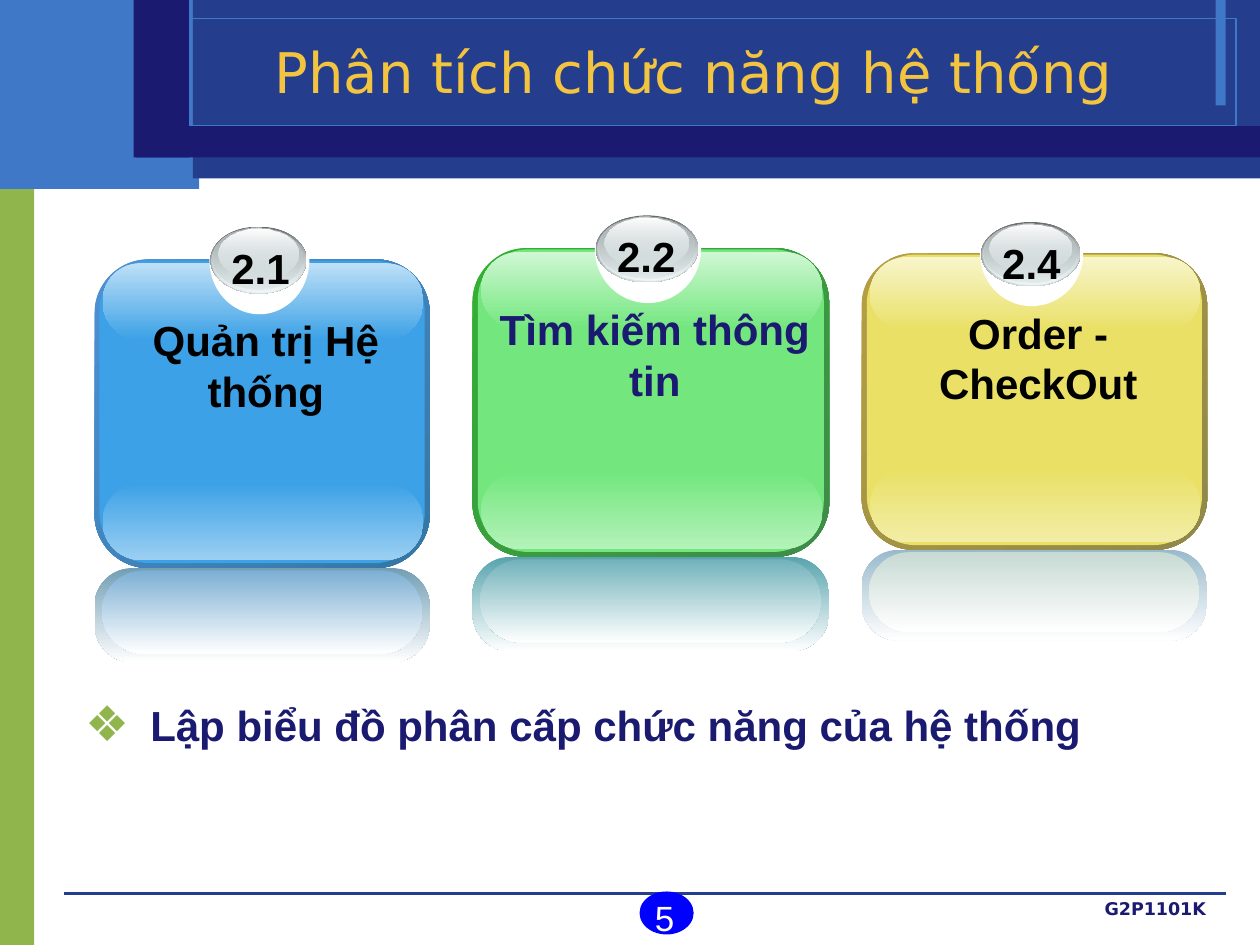
from lxml.etree import SubElement
from pptx import Presentation
from pptx.dml.color import RGBColor
from pptx.enum.shapes import MSO_CONNECTOR, MSO_SHAPE
from pptx.enum.text import MSO_AUTO_SIZE, PP_ALIGN
from pptx.oxml.ns import qn
from pptx.util import Pt

COLORS = {
    "green": "90B54D", "sky": "3E78C6", "royal": "243D8C", "navy": "1A1A70",
    "gold": "F3C43F", "badge": "0000FF", "white": "FFFFFF", "black": "000000",
    "silver": "D6E1E2", "pale": "F1F5F5", "steel": "AAB2B3", "slate": "636869",
}
FORMATS = {
    "title": {"size": Pt(32), "name": "DejaVu Sans", "bold": False},
    "strong": {"size": Pt(24), "name": "Arial", "bold": True},
    "number": {"size": Pt(20), "name": "Arial", "bold": False},
    "footer": {"size": Pt(10), "name": "DejaVu Sans", "bold": True},
}
ALIGN = {"l": PP_ALIGN.LEFT, "c": PP_ALIGN.CENTER, "r": PP_ALIGN.RIGHT}
RECT, ROUND, OVAL = MSO_SHAPE.RECTANGLE, MSO_SHAPE.ROUNDED_RECTANGLE, MSO_SHAPE.OVAL


def rgb(color):
    return RGBColor.from_string(COLORS.get(color, color))


class Deck:
    def __init__(self, width, height):
        self.prs = Presentation()
        self.prs.slide_width, self.prs.slide_height = Pt(width), Pt(height)
        self.s = self.prs.slides.add_slide(self.prs.slide_layouts[6])

    def shape(self, kind, box, fill=None, line=None, width=0, adj=None):
        sp = self.s.shapes.add_shape(kind, *map(Pt, box))
        sp.shadow.inherit = False
        if adj is not None:
            sp.adjustments[0] = adj
        if fill:
            sp.fill.solid()
            sp.fill.fore_color.rgb = rgb(fill)
        else:
            sp.fill.background()
        if line:
            sp.line.color.rgb = rgb(line)
            sp.line.width = Pt(width)
        else:
            sp.line.fill.background()
        return sp

    def gradient(self, kind, box, colors, alphas=(100, 100), angle=90, adj=None):
        sp = self.shape(kind, box, adj=adj)
        sp.fill.gradient()
        sp.fill.gradient_angle = 360 - angle
        for stop, color in zip(sp.fill.gradient_stops, colors):
            stop.color.rgb = rgb(color)
        for clr, alpha in zip(sp._element.spPr.iter(qn("a:srgbClr")), alphas):
            if alpha < 100:
                SubElement(clr, qn("a:alpha"), val=str(alpha * 1000))
        return sp

    def line(self, x1, y1, x2, y2, color):
        c = self.s.shapes.add_connector(MSO_CONNECTOR.STRAIGHT, *map(Pt, (x1, y1, x2, y2)))
        c.line.color.rgb = rgb(color)
        c.line.width = Pt(0)
        SubElement(c._element.spPr, qn("a:effectLst"))

    def text(self, box, text, style, color, align="l", wrap=True, grow=True):
        tf = self.s.shapes.add_textbox(*map(Pt, box)).text_frame
        tf.word_wrap = wrap
        tf.auto_size = MSO_AUTO_SIZE.SHAPE_TO_FIT_TEXT if grow else MSO_AUTO_SIZE.NONE
        p = tf.paragraphs[0]
        p.alignment = ALIGN[align]
        r = p.add_run()
        r.text = text
        for key, value in FORMATS[style].items():
            setattr(r.font, key, value)
        r.font.color.rgb = rgb(color)
        return p

    def bullet(self, box, text, char, bullet_color, color, indent):
        p = self.text(box, text, "strong", color, grow=False)
        p.space_before = Pt(6)
        pPr = p._p.get_or_add_pPr()
        pPr.set("marL", str(Pt(indent)))
        pPr.set("indent", str(-Pt(indent)))
        clr = SubElement(pPr, qn("a:buClr"))
        SubElement(clr, qn("a:srgbClr"), val=COLORS[bullet_color])
        SubElement(pPr, qn("a:buSzPct"), val="117000")
        SubElement(pPr, qn("a:buFont"), typeface="DejaVu Sans")
        SubElement(pPr, qn("a:buChar"), char=char)

    def card(self, box, number, label, edge, body, low, high, mirror, inner, color):
        x, y, w, h = box

        def part(dx, dy, dw, dh):
            return x + dx * w, y + dy * h, dw * w, dh * h

        self.gradient(ROUND, box, edge, angle=45, adj=0.175)
        self.shape(ROUND, part(0.015, 0.004, 0.97, 0.98), body, adj=0.167)
        self.gradient(ROUND, part(0.024, 0.725, 0.957, 0.249), (body, low), adj=0.5)
        self.gradient(ROUND, part(0.024, 0.012, 0.957, 0.249), (high, body), adj=0.5)
        self.gradient(ROUND, part(0, 1, 1, 0.306), (mirror, "white"), adj=0.404)
        self.gradient(ROUND, part(0.021, 1.008, 0.957, 0.27), (inner, "white"), adj=0.5)
        self.shape(OVAL, part(0.343, -0.172, 0.298, 0.35), "white")
        for place, colors, alphas in (
            ((0.346, -0.106, 0.287, 0.217), ("slate", "silver"), (100, 100)),
            ((0.35, -0.106, 0.28, 0.212), ("silver", "pale"), (0, 100)),
            ((0.353, -0.102, 0.268, 0.2), ("steel", "silver"), (100, 48)),
            ((0.37, -0.098, 0.237, 0.16), ("white", "silver"), (100, 38)),
        ):
            self.gradient(OVAL, part(*place), colors, alphas)
        left, top, _, _ = part(0.371, -0.076, 0, 0)
        self.text((left, top, 47.5, 36), number, "strong", "black", "c", wrap=False)
        left, top, width, _ = part(0.035, 0.16, 0.952, 0)
        self.text((left, top, width, 65), label, "strong", color, "c")


def main():
    d = Deck(720, 540)
    for box, fill in (
        ((0, 77, 19.6, 463), "green"), ((0, 0, 113.8, 108), "sky"),
        ((110.2, 0, 609.8, 102), "royal"), ((694.6, 0, 5.8, 60.2), "sky"),
    ):
        d.shape(RECT, box, fill)
    d.shape(RECT, (14.4, 10.6, 692, 61.2), line="sky")
    d.line(36.7, 510.5, 700.6, 510.5, "royal")
    for box in ((77.8, 72, 642.2, 18), (76.4, 0, 31.6, 90)):
        d.shape(RECT, box, "navy")

    d.card((270, 141.8, 203.8, 176.4), "2.2", "Tìm kiếm thông tin",
           ("34B034", "3F8B4A"), "73E77E", "B3F2B9", "D0F7D4", "58A4AE", "72B2BB", "navy")
    d.card((492.4, 144.8, 197.4, 169.4), "2.4", "Order - CheckOut",
           ("B59F43", "8F8849"), "E9E065", "F2EDA6", "F8F5CC", "99BACC", "C8DAD4", "black")
    d.card((54, 148.2, 191.6, 176.4), "2.1", "Quản trị Hệ thống",
           ("4E91D4", "3477A4"), "3CA1E6", "9BCFF2", "BEE0F7", "729EB4", "7DAFD4", "black")

    d.text((149.8, 18, 534.2, 46), "Phân tích chức năng hệ thống", "title", "gold")
    d.bullet((41.8, 396, 648, 71.3), "Lập biểu đồ phân cấp chức năng của hệ thống",
             "❖", "green", "navy", 37)
    d.shape(MSO_SHAPE.FLOWCHART_CONNECTOR, (365.8, 509.8, 30.2, 23.8), "badge", "badge", 0.75)
    d.text((365.8, 509, 28, 31.7), "5", "number", "white", "c")
    d.text((552.2, 509.8, 144, 18), "G2P1101K", "footer", "navy", "r", grow=False)
    d.prs.save("out.pptx")


if __name__ == "__main__":
    main()
